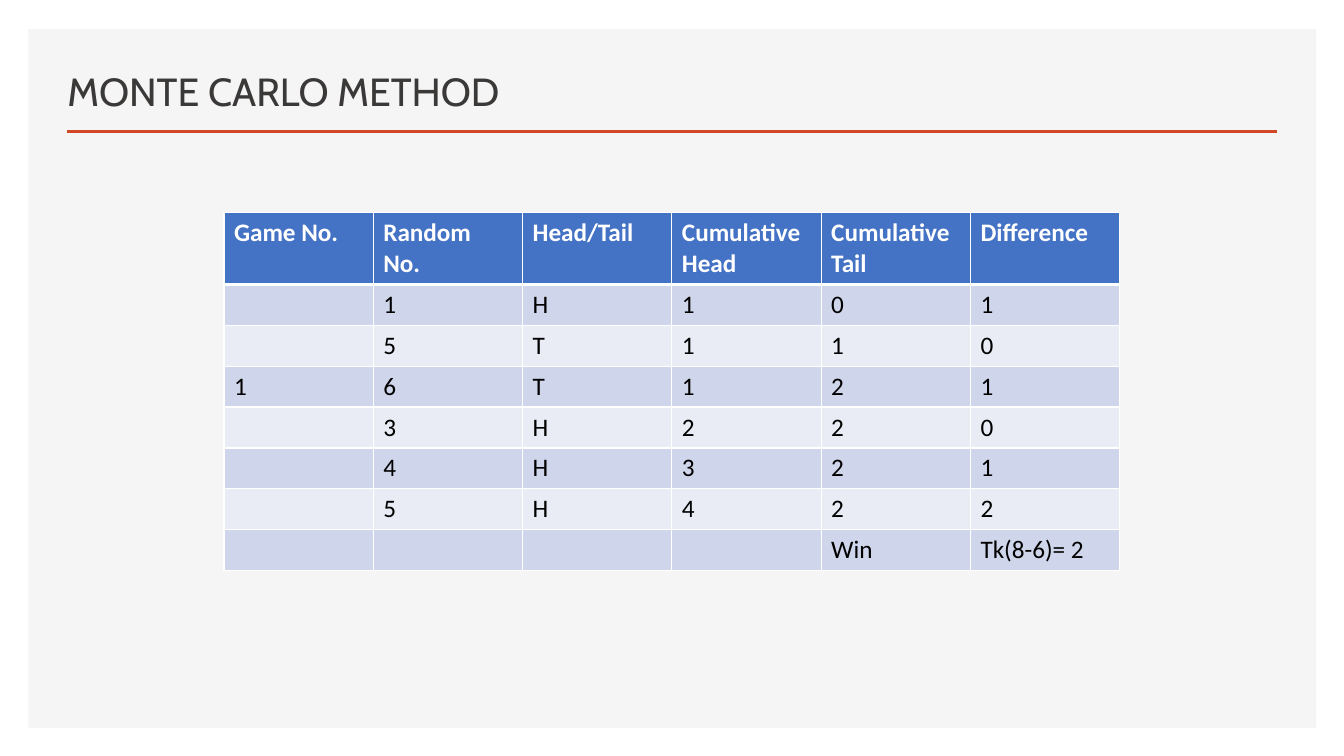
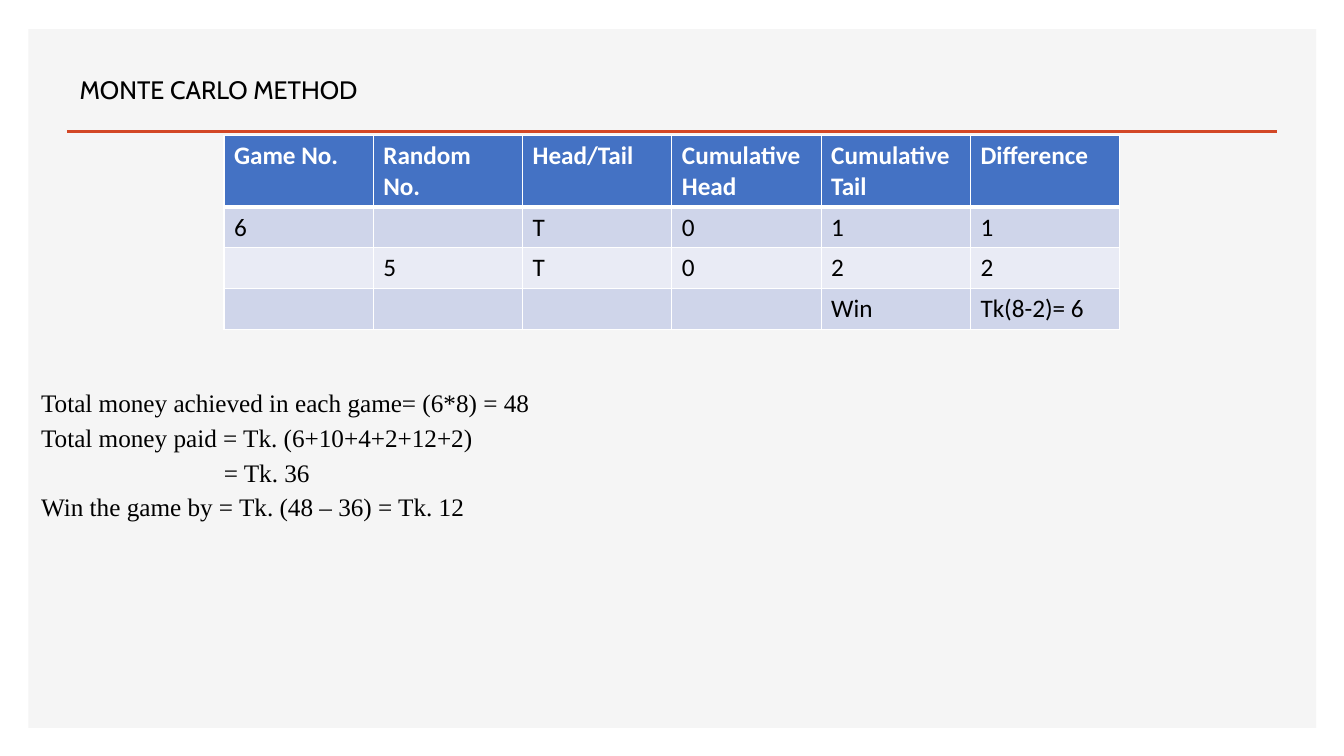
import pptx
import pptx.util
import pptx.dml.color
import pptx.enum.shapes
import pptx.enum.text
import pptx.oxml
import pptx.oxml.ns

Pt = pptx.util.Pt
RGB = pptx.dml.color.RGBColor.from_string
ANCHOR = pptx.enum.text.MSO_ANCHOR

COLORS = {"panel": "F5F5F5", "rule": "D24726", "title": "3B3838", "text": "000000",
          "head": "4472C4", "odd": "CFD5EA", "even": "E9EBF5", "white": "FFFFFF"}
HEADER = ["Game No.", "Random No.", "Head/Tail", "Cumulative\nHead", "Cumulative\nTail", "Difference"]
SLIDES = [
    {"title_box": (41, 35.3, 541.4, 50.4), "size": 28, "color": "title",
     "anchor": ANCHOR.BOTTOM, "spacing": 0.9, "table_top": 152,
     "rows": [["", "1", "H", "1", "0", "1"],
              ["", "5", "T", "1", "1", "0"],
              ["1", "6", "T", "1", "2", "1"],
              ["", "3", "H", "2", "2", "0"],
              ["", "4", "H", "3", "2", "1"],
              ["", "5", "H", "4", "2", "2"],
              ["", "", "", "", "Win", "Tk(8-6)= 2"]],
     "notes": []},
    {"title_box": (49.7, 49.7, 480, 29), "size": 18, "color": "text",
     "anchor": ANCHOR.TOP, "spacing": 1.0, "table_top": 96.7,
     "rows": [["6", "", "T", "0", "1", "1"],
              ["", "5", "T", "0", "2", "2"],
              ["", "", "", "", "Win", "Tk(8-2)= 6"]],
     "notes": [("Total money achieved in each game= (6*8) = 48", 0),
               ("Total money paid = Tk. (6+10+4+2+12+2)", 0),
               ("= Tk. 36", 130.5),
               ("Win the game by = Tk. (48 – 36) = Tk. 12", 0)]},
]


def set_font(font, **values):
    font.color.rgb = RGB(COLORS[values.pop("color")])
    for name, value in values.items():
        setattr(font, name, value)


def add_borders(cell, bottom):
    tcPr = cell._tc.get_or_add_tcPr()
    for side, width in (("L", 1), ("R", 1), ("T", 1), ("B", bottom)):
        tcPr.append(pptx.oxml.parse_xml(
            f'<a:ln{side} {pptx.oxml.ns.nsdecls("a")} w="{Pt(width)}"><a:solidFill>'
            f'<a:srgbClr val="{COLORS["white"]}"/></a:solidFill></a:ln{side}>'))


prs = pptx.Presentation()
prs.slide_width, prs.slide_height = Pt(960), Pt(540)
layout = prs.slide_layouts[5]

for i, spec in enumerate(SLIDES):
    s = prs.slides.add_slide(layout)

    # Panel and rule, moved to the layout so that both slides share them
    if i == 0:
        panel = s.shapes.add_shape(pptx.enum.shapes.MSO_SHAPE.RECTANGLE,
                                   Pt(20.2), Pt(20.9), Pt(920), Pt(499))
        panel.shadow.inherit = False
        panel.fill.solid()
        panel.fill.fore_color.rgb = RGB(COLORS["panel"])
        panel.line.fill.background()
        rule = s.shapes.add_connector(pptx.enum.shapes.MSO_CONNECTOR.STRAIGHT,
                                      Pt(47.8), Pt(94), Pt(912.2), Pt(94))
        rule.line.color.rgb = RGB(COLORS["rule"])
        rule.line.width = Pt(2)
        rule.element.spPr.append(pptx.oxml.parse_xml(
            f'<a:effectLst {pptx.oxml.ns.nsdecls("a")}/>'))
        for n, part in enumerate((panel, rule)):
            part.element.xpath(".//p:cNvPr")[0].set("id", str(101 + n))
            layout.shapes.element.insert(2 + n, part.element)

    # Title
    title = s.shapes.title
    title.left, title.top, title.width, title.height = map(Pt, spec["title_box"])
    tf = title.text_frame
    tf.text = "MONTE CARLO METHOD"
    tf.auto_size = pptx.enum.text.MSO_AUTO_SIZE.NONE
    tf.vertical_anchor = spec["anchor"]
    p = tf.paragraphs[0]
    p.alignment = pptx.enum.text.PP_ALIGN.LEFT
    p.line_spacing = spec["spacing"]
    set_font(p.runs[0].font, name="Cabin", size=Pt(spec["size"]), color=spec["color"])

    # Table of tosses
    rows = [HEADER] + spec["rows"]
    table = s.shapes.add_table(len(rows), len(HEADER), Pt(160), Pt(spec["table_top"]),
                               Pt(640), Pt(51 + 29.2 * len(spec["rows"]))).table
    for r, values in enumerate(rows):
        is_head = r == 0
        table.rows[r].height = Pt(51 if is_head else 29.2)
        fill = "head" if is_head else "odd" if r % 2 else "even"
        for c, value in enumerate(values):
            cell = table.cell(r, c)
            add_borders(cell, 3 if is_head else 1)
            cell.fill.solid()
            cell.fill.fore_color.rgb = RGB(COLORS[fill])
            cell.text = value
            for p in cell.text_frame.paragraphs:
                set_font(p.font, name="Calibri", size=Pt(18), bold=is_head,
                         color="white" if is_head else "text")

    # Result of the games
    if spec["notes"]:
        box = s.shapes.add_textbox(Pt(22.3), Pt(270), Pt(914.4), Pt(106))
        tf = box.text_frame
        tf.word_wrap = True
        for n, (text, indent) in enumerate(spec["notes"]):
            p = tf.add_paragraph() if n else tf.paragraphs[0]
            p.text = text
            p.line_spacing = 1.15
            p._p.get_or_add_pPr().set("marL", str(Pt(indent)))
            set_font(p.runs[0].font, name="Times New Roman", size=Pt(18), color="text")

prs.save("out.pptx")
